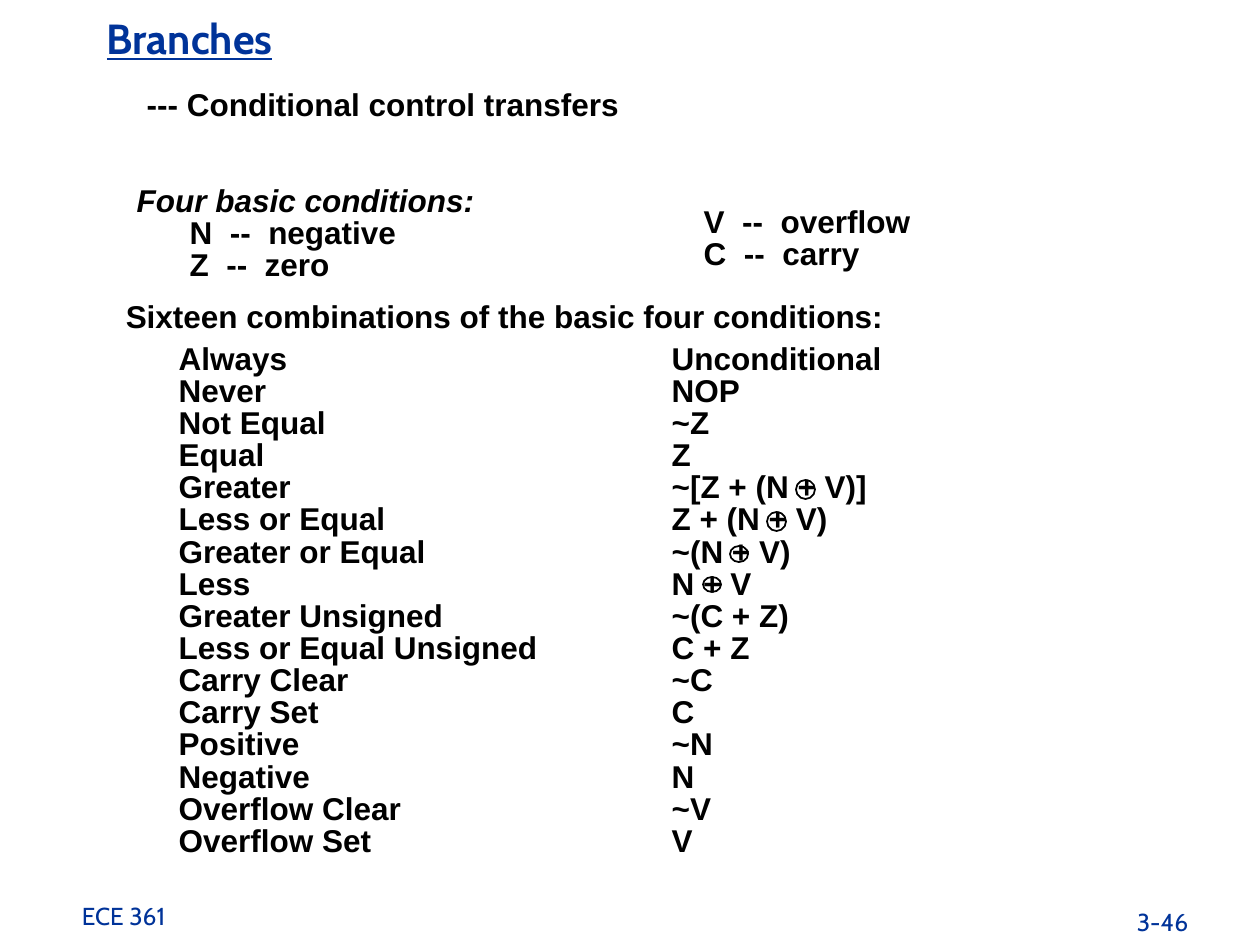
from pptx import Presentation
from pptx.dml.color import RGBColor
from pptx.enum.shapes import MSO_SHAPE
from pptx.enum.text import PP_ALIGN
from pptx.util import Pt

PX = 914400 / 126
BLUE = RGBColor(0x00, 0x33, 0x99)
BLACK = RGBColor(0x00, 0x00, 0x00)
LEFT, RIGHT = PP_ALIGN.LEFT, PP_ALIGN.RIGHT
OVAL = MSO_SHAPE.OVAL

# Condition name and the flag expression that tests it
BRANCHES = [
    ("Always", "Unconditional"),
    ("Never", "NOP"),
    ("Not Equal", "~Z"),
    ("Equal", "Z"),
    ("Greater", "~[Z + (N + V)]"),
    ("Less or Equal", "Z + (N + V)"),
    ("Greater or Equal", "~(N + V)"),
    ("Less", "N + V"),
    ("Greater Unsigned", "~(C + Z)"),
    ("Less or Equal Unsigned", "C + Z"),
    ("Carry Clear", "~C"),
    ("Carry Set", "C"),
    ("Positive", "~N"),
    ("Negative", "N"),
    ("Overflow Clear", "~V"),
    ("Overflow Set", "V"),
]
NAMES, TESTS = zip(*BRANCHES)

# Body text: left, top, width, height, lines; widths leave room for each longest line
BODY = [
    (138, 87, 500, 39, ["--- Conditional control transfers"]),
    (128, 183, 366, 103, ["Four basic conditions:", "N  --  negative", "Z  --  zero"]),
    (695, 204, 234, 72, ["V  --  overflow", "C  --  carry"]),
    (117, 299, 786, 39, ["Sixteen combinations of the basic four conditions:"]),
    (170, 341, 387, 522, NAMES),
    (663, 341, 238, 522, TESTS),
]
FLAGS = BODY[1][4][1:]
FLAG_INDENT = 53

# Footer text: left, top, width, height, line, alignment
FOOTERS = [
    (1092, 898, 105, 47, "3-46", RIGHT),
    (73, 892, 336, 42, "ECE 361", LEFT),
]

# Circles that turn a plus into an exclusive or: left, top, width, height
XOR_CIRCLES = [
    (730, 546, 18, 16),
    (703, 577, 18, 15),
    (796, 480, 19, 19),
    (767, 512, 19, 19),
]


def emu(*lengths):
    return [round(length * PX) for length in lengths]


def add_text(page, place, lines, font, size, color, spacing, align=LEFT):
    box = page.shapes.add_textbox(*emu(*place))
    frame = box.text_frame
    frame.word_wrap = True
    frame.margin_left = frame.margin_right = Pt(5)
    frame.margin_top = frame.margin_bottom = Pt(2)
    frame.text = "\n".join(lines)
    for para in frame.paragraphs:
        para.alignment = align
        para.line_spacing = spacing
        para.font.name = font
        para.font.size = Pt(size)
        para.font.color.rgb = color
    return frame.paragraphs


def main():
    deck = Presentation()
    deck.slide_width, deck.slide_height = emu(1260, 945)
    page = deck.slides.add_slide(deck.slide_layouts[6])

    # Footer
    for *place, line, align in FOOTERS:
        add_text(page, place, [line], "Cabin", 14, BLUE, 1.18, align)

    # Title
    title = add_text(page, (98, 16, 209, 95), ["Branches"], "Cabin", 24, BLUE, 0.87)[0]
    title.font.bold = title.font.underline = True

    # Body
    for *place, lines in BODY:
        for para in add_text(page, place, lines, "Arial", 18, BLACK, 0.85):
            para.font.bold = True
            if para.text == "Four basic conditions:":
                para.font.italic = True
            if para.text in FLAGS:
                para._p.get_or_add_pPr().set("marL", str(emu(FLAG_INDENT)[0]))

    # Exclusive-or circles
    for place in XOR_CIRCLES:
        circle = page.shapes.add_shape(OVAL, *emu(*place))
        circle.shadow.inherit = False
        circle.fill.background()
        circle.line.color.rgb = BLACK
        circle.line.width = Pt(1)

    deck.save("out.pptx")


if __name__ == "__main__":
    main()
